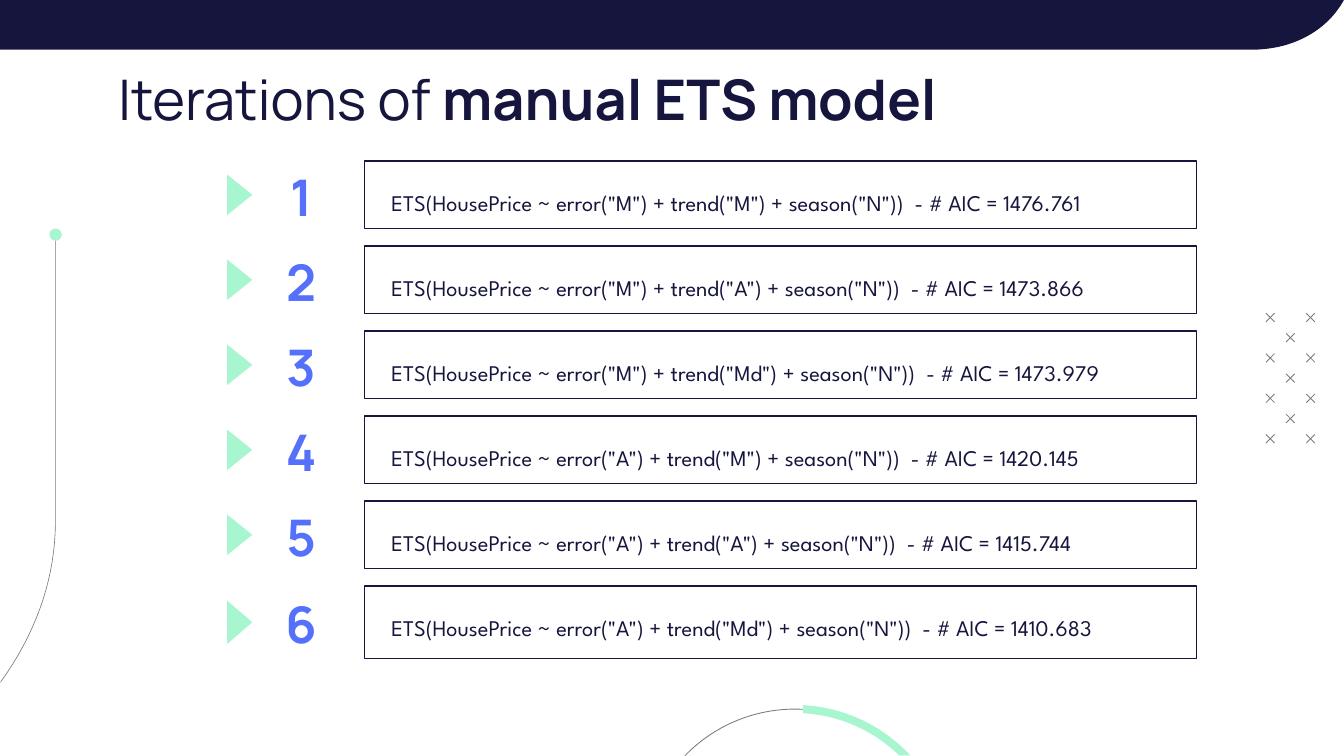
"""Build the slide listing the iterations of a manual ETS model."""
import math
from dataclasses import dataclass

from lxml import etree
from pptx import Presentation
from pptx.dml.color import RGBColor
from pptx.enum import shapes, text
from pptx.oxml.ns import qn
from pptx.util import Pt

NAVY, BLUE, MINT, GREY = "15153E", "5571FB", "A7F6CF", "7A7A7A"
Point = tuple[float, float]


@dataclass
class Iteration:
    error: str
    trend: str
    aic: str
    height: float = 36.2


ITERATIONS = [
    Iteration("M", "M", "1476.761"),
    Iteration("M", "A", "1473.866"),
    Iteration("M", "Md", "1473.979"),
    Iteration("A", "M", "1420.145"),
    Iteration("A", "A", "1415.744"),
    Iteration("A", "Md", "1410.683", 38.8),
]


def color(value: str) -> RGBColor:
    return RGBColor.from_string(value)


def style(sp, fill: str = "", line: str = "", width: float = 0.75) -> None:
    sp.shadow.inherit = False
    if fill:
        sp.fill.solid()
        sp.fill.fore_color.rgb = color(fill)
    else:
        sp.fill.background()
    if line:
        sp.line.color.rgb = color(line)
        sp.line.width = Pt(width)
    else:
        sp.line.fill.background()


def add_text(sp, *runs: tuple[str, bool], font: str, size: float, fill: str,
             insets: tuple[float, ...] = (7.2, 7.2, 7.2, 7.2),
             anchor=text.MSO_ANCHOR.TOP, align=text.PP_ALIGN.LEFT,
             spacing: float = 1.0) -> None:
    tf = sp.text_frame
    tf.word_wrap = True
    tf.vertical_anchor = anchor
    tf.margin_left, tf.margin_top, tf.margin_right, tf.margin_bottom = map(Pt, insets)
    p = tf.paragraphs[0]
    p.alignment = align
    p.line_spacing = spacing
    for content, bold in runs:
        r = p.add_run()
        r.text = content
        r.font.name, r.font.size, r.font.bold = font, Pt(size), bold
        r.font.color.rgb = color(fill)


def add_outline(s, points: list[Point], closed: bool = True, **look) -> None:
    start, *rest = [(Pt(x), Pt(y)) for x, y in points]
    builder = s.shapes.build_freeform(*start, scale=1.0)
    builder.add_line_segments(rest, close=closed)
    style(builder.convert_to_shape(), **look)


def add_line(s, x1: float, y1: float, x2: float, y2: float) -> None:
    line = s.shapes.add_connector(shapes.MSO_CONNECTOR.STRAIGHT, *map(Pt, (x1, y1, x2, y2)))
    line.line.color.rgb = color(GREY)
    line.line.width = Pt(0.44)
    etree.SubElement(line._element.spPr, qn("a:effectLst"))


def bezier(a: Point, b: Point, c: Point, d: Point, end: float = 1.0) -> list[Point]:
    points = []
    for i in range(31):
        t = end * i / 30
        weights = ((1 - t) ** 3, 3 * t * (1 - t) ** 2, 3 * t * t * (1 - t), t ** 3)
        points.append(tuple(sum(w * q[k] for w, q in zip(weights, (a, b, c, d)))
                            for k in (0, 1)))
    return points


def arc(radius: float, start: float, end: float) -> list[Point]:
    angles = [math.radians(start + (end - start) * i / 40) for i in range(41)]
    return [(425.9 + radius * math.cos(a), 461.9 + radius * math.sin(a)) for a in angles]


def add_decoration(s) -> None:
    for row in range(7):
        for x in (689,) if row % 2 else (678.2, 699.8):
            y = 167.8 + 10.83 * row
            add_line(s, x, y, x + 4.6, y + 4.6)
            add_line(s, x, y + 4.6, x + 4.6, y)
    add_outline(s, arc(82, 224, 273), closed=False, line=GREY, width=0.44)
    add_outline(s, arc(84.2, 273, 317.2) + arc(79.9, 314.3, 273), fill=MINT)
    curve = bezier((29.7, 279.4), (29.7, 389.5), (-105.1, 478.8), (-270.7, 478.8), 0.28)
    add_outline(s, [(29.7, 126)] + curve, closed=False, line=GREY, width=0.35)
    dot = s.shapes.add_shape(shapes.MSO_SHAPE.OVAL, Pt(26.5), Pt(122.4), Pt(6.6), Pt(6.6))
    style(dot, fill=MINT)
    corner = bezier((673.2, 26.6), (694, 25.9), (711.4, 15.8), (720, 0))
    add_outline(s, [(0, 0), (0, 26.6)] + corner, fill=NAVY)


def add_iteration(s, number: int, item: Iteration) -> None:
    top = 86.3 + 45.54 * (number - 1)
    box = s.shapes.add_shape(shapes.MSO_SHAPE.RECTANGLE, Pt(195.3), Pt(top),
                             Pt(445.7), Pt(item.height))
    style(box, line=NAVY)
    formula = (f'ETS(HousePrice ~ error("{item.error}") + trend("{item.trend}")'
               f' + season("N"))  - # AIC = {item.aic}')
    add_text(box, (formula, False), font="League Spartan", size=12, fill=NAVY,
             insets=(14.4, 13, 7.2, 7.2), spacing=1.15)
    label = s.shapes.add_textbox(Pt(134.7), Pt(top), Pt(53.3), Pt(item.height))
    add_text(label, (str(number), True), font="Manrope", size=27, fill=BLUE,
             insets=(7.2, 8.6, 7.2, 7.2), anchor=text.MSO_ANCHOR.MIDDLE,
             align=text.PP_ALIGN.CENTER)
    high, low = top + 0.2 * item.height, top + 0.8 * item.height
    add_outline(s, [(121.7, high), (135.2, (high + low) / 2), (121.7, low)], fill=MINT)


def main() -> None:
    prs = Presentation()
    prs.slide_width, prs.slide_height = Pt(720), Pt(405)
    s = prs.slides.add_slide(prs.slide_layouts[6])
    add_decoration(s)
    title = s.shapes.add_textbox(Pt(56.2), Pt(27.4), Pt(607.7), Pt(45.4))
    add_text(title, ("Iterations of ", False), ("manual ETS model", True),
             font="Manrope", size=30, fill=NAVY)
    for number, item in enumerate(ITERATIONS, 1):
        add_iteration(s, number, item)
    prs.save("out.pptx")


if __name__ == "__main__":
    main()
